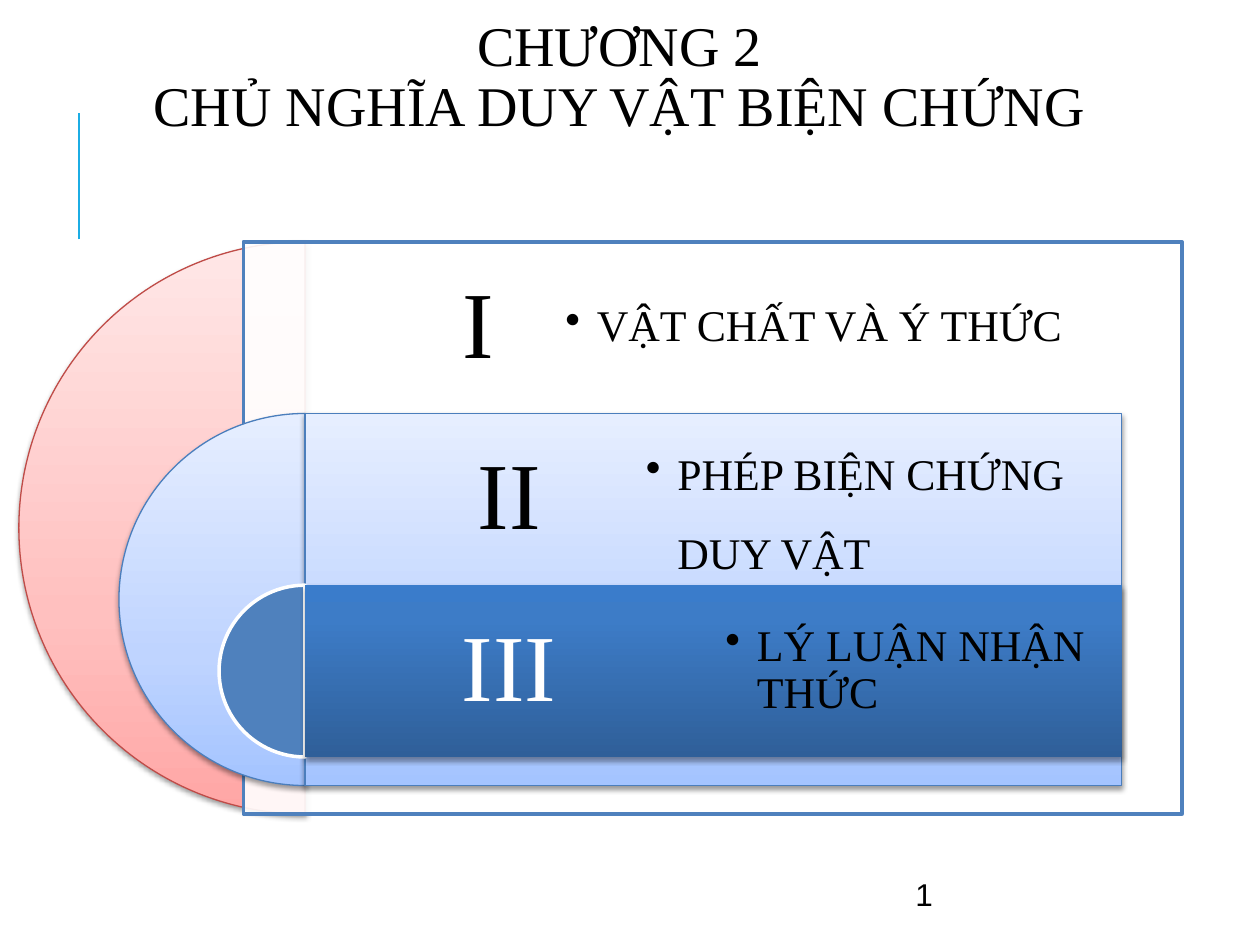
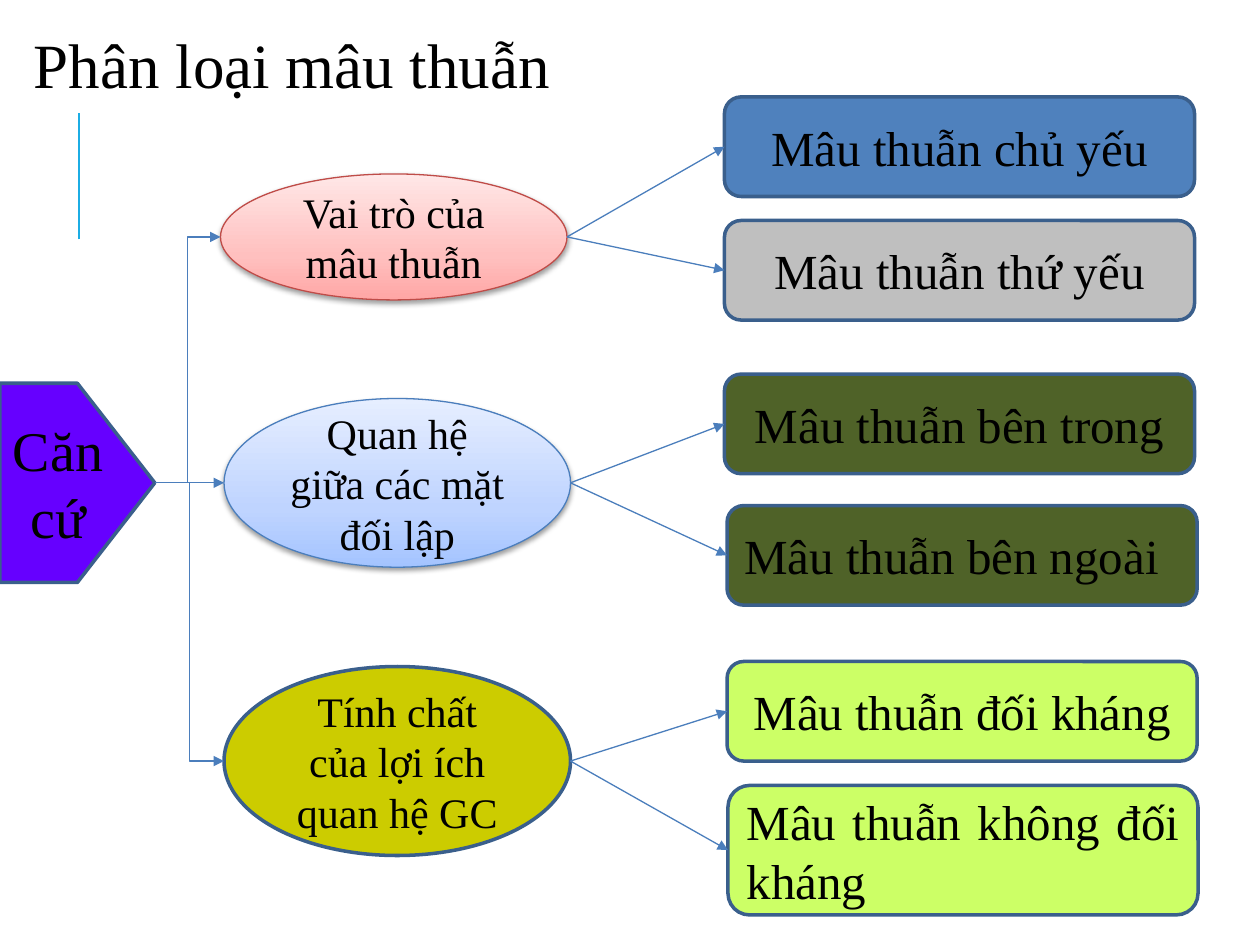
from lxml.etree import SubElement as Sub
from pptx import Presentation
from pptx.dml.color import RGBColor as RGB
from pptx.enum.shapes import MSO_CONNECTOR as Wire, MSO_SHAPE as Kind
from pptx.enum.text import MSO_ANCHOR as Anchor, MSO_AUTO_SIZE as Fit, PP_ALIGN as Align
from pptx.oxml.ns import qn
from pptx.util import Pt

BLACK = RGB(0, 0, 0)
WHITE = RGB(255, 255, 255)
BLUE = RGB(0x4F, 0x81, 0xBD)
NAVY = RGB(0x3A, 0x5F, 0x8C)
STEEL = RGB(0x4B, 0x7E, 0xBC)
BRICK = RGB(0xBF, 0x4C, 0x48)
CYAN = RGB(0x1C, 0xAD, 0xE4)
VIOLET = RGB(0x66, 0x00, 0xFF)
MUSTARD = RGB(0xCC, 0xCC, 0x00)
GREY = RGB(0xBF, 0xBF, 0xBF)
OLIVE = RGB(0x4F, 0x62, 0x28)
LIME = RGB(0xCC, 0xFF, 0x66)
# Gradients run upwards: (percent, colour)
ROSE = [(0, RGB(0xFF, 0xA6, 0xA5)), (35, RGB(0xFF, 0xC0, 0xBF)), (100, RGB(0xFF, 0xE7, 0xE7))]
SKY = [(0, RGB(0xA4, 0xC4, 0xFF)), (35, RGB(0xBF, 0xD4, 0xFF)), (100, RGB(0xE6, 0xEE, 0xFF))]
DEEP = [(0, RGB(0x2F, 0x5F, 0x99)), (80, RGB(0x3D, 0x7C, 0xC7)), (100, RGB(0x3A, 0x7C, 0xCB))]
SERIF = "Times New Roman"


def block(slide, kind, box, fill, line, width=2):
    """Add a shape; a list of stops as fill gives a gradient and a soft shadow."""
    shape = slide.shapes.add_shape(kind, *map(Pt, box))
    shape.shadow.inherit = False
    if isinstance(fill, list):
        shape.fill.gradient()
        shape.fill.gradient_angle = 90
        stops = shape.element.spPr.find(".//" + qn("a:gsLst"))
        stops.clear()
        for pos, tone in fill:
            stop = Sub(stops, qn("a:gs"), pos=str(pos * 1000))
            Sub(stop, qn("a:srgbClr"), val=str(tone))
        glow = Sub(shape.element.spPr.find(qn("a:effectLst")), qn("a:outerShdw"),
                   blurRad=str(Pt(3.1)), dist=str(Pt(1.6)), dir="5400000", rotWithShape="0")
        Sub(Sub(glow, qn("a:srgbClr"), val="000000"), qn("a:alpha"), val="38000")
    else:
        shape.fill.solid()
        shape.fill.fore_color.rgb = fill
    if line is None:
        shape.line.fill.background()
    else:
        shape.line.color.rgb = line
        shape.line.width = Pt(width)
    return shape


def write(shape, lines, size, align=Align.LEFT, color=BLACK, face=SERIF, gap=None):
    """Fill a shape with one paragraph, its lines parted by breaks."""
    frame = shape.text_frame
    frame.word_wrap = True
    frame.auto_size = Fit.NONE
    frame.vertical_anchor = Anchor.MIDDLE
    para = frame.paragraphs[0]
    para.alignment = align
    para.line_spacing = gap
    for i, line in enumerate(lines):
        if i:
            para.add_line_break()
        run = para.add_run()
        run.text = line
        run.font.size = Pt(size)
        run.font.name = face
        run.font.color.rgb = color
    return para


prs = Presentation()
prs.slide_width, prs.slide_height = Pt(720), Pt(540)
base = prs.slide_layouts[5]

# Titles
heads = [
    (["CHƯƠNG 2", "CHỦ NGHĨA DUY VẬT BIỆN CHỨNG"], (0, 5.8, 708, 77.8), 32, Align.CENTER),
    (["Phân loại mâu thuẫn"], (12.2, 5.8, 648, 66.2), 36, Align.LEFT),
]
slides = []
for lines, box, size, align in heads:
    slide = prs.slides.add_slide(base)
    title = slide.shapes.title
    title.left, title.top, title.width, title.height = map(Pt, box)
    write(title, lines, size, align, gap=0.9)
    slides.append(slide)
first, second = slides

# Accent bar, shared through the layout
bar = first.shapes.add_connector(Wire.STRAIGHT, Pt(45.2), Pt(136.8), Pt(45.2), Pt(64.8))
bar.line.color.rgb = CYAN
bar.line.width = Pt(1.5)
base.shapes.element.append(bar.element)
wires = [bar]

# Slide 1: nested half discs with chapter parts
page = first.shapes.add_textbox(Pt(516), Pt(491.8), Pt(168), Pt(37.4))
write(page, ["1"], 18, face="Arial")

TOP, STEP, MID, SPLIT = 138.2, 98.1, 174.3, 407.5
parts = [  # disc fill, line, width; band left, right, fill, line, width; numeral, colour
    (ROSE, BRICK, 0.75, 139, 675.4, WHITE, BLUE, 2, "I", BLACK),
    (SKY, STEEL, 0.75, MID, 641, SKY, STEEL, 0.75, "II", BLACK),
    (BLUE, WHITE, 2, MID, 641, DEEP, None, 0, "III", WHITE),
]
for i, (fill, line, thick, left, right, tint, edge, wide, num, ink) in enumerate(parts):
    top, size = TOP + i * STEP, 327 - i * 114.4
    disc = block(first, Kind.PIE, (MID - size / 2, top, size, size), fill, line, thick)
    disc.adjustments[0], disc.adjustments[1] = 54, 162
    band = block(first, Kind.RECTANGLE, (left, top, right - left, size), tint, edge, wide)
    if tint == WHITE:
        tone = band.element.spPr.find(qn("a:solidFill"))[0]
        Sub(tone, qn("a:alpha"), val="90000")
    label = first.shapes.add_textbox(Pt(left), Pt(top), Pt(SPLIT - left), Pt(STEP))
    write(label, [num], 54, Align.CENTER, ink, gap=0.9)

topics = [
    ("VẬT CHẤT VÀ Ý THỨC", 316, 400, 0.9),
    ("PHÉP BIỆN CHỨNG DUY VẬT", 362, 300, 1.5),
    ("LÝ LUẬN NHẬN THỨC", SPLIT, 233.3, 0.9),
]
for i, (text, left, width, gap) in enumerate(topics):
    item = first.shapes.add_textbox(Pt(left), Pt(TOP + i * STEP), Pt(width), Pt(STEP))
    props = write(item, [text], 25, gap=gap)._p.get_or_add_pPr()
    props.set("marL", str(Pt(18)))
    props.set("indent", str(Pt(-18)))
    Sub(props, qn("a:buChar"), char="•")

# Slide 2: root, three criteria, two kinds each
root = block(second, Kind.PENTAGON, (0, 219, 88.5, 113.8), VIOLET, NAVY)
write(root, ["Căn cứ"], 32, Align.CENTER)
HUB = 275.9

tree = [  # criterion: text, left, top, height, fill, line, width; kinds
    ("Vai trò của mâu thuẫn", 126, 99.4, 72, ROSE, BRICK, 0.75, [
        ("Mâu thuẫn chủ yếu", 414, 55.4, 56.9, BLUE, Align.CENTER),
        ("Mâu thuẫn thứ yếu", 414, 126, 56.9, GREY, Align.CENTER)]),
    ("Quan hệ giữa các mặt đối lập", 128, 227.7, 96.4, SKY, STEEL, 0.75, [
        ("Mâu thuẫn bên trong", 414, 213.8, 56.9, OLIVE, Align.CENTER),
        ("Mâu thuẫn bên ngoài", 415.5, 288.9, 56.9, OLIVE, Align.JUSTIFY)]),
    ("Tính chất của lợi ích quan hệ GC", 128, 380.9, 108, MUSTARD, NAVY, 2, [
        ("Mâu thuẫn đối kháng", 415.5, 378, 56.9, LIME, Align.CENTER),
        ("Mâu thuẫn không đối kháng", 416, 448.8, 74, LIME, Align.JUSTIFY)]),
]
WIDE = 198
arrows = []
for text, left, top, high, fill, line, thick, kinds in tree:
    oval = block(second, Kind.OVAL, (left, top, WIDE, high), fill, line, thick)
    write(oval, [text], 24, Align.CENTER)
    mid = top + high / 2
    straight = abs(mid - HUB) < 1
    arrow = second.shapes.add_connector(Wire.STRAIGHT if straight else Wire.ELBOW,
                                        Pt(88.5), Pt(HUB), Pt(left), Pt(mid))
    if straight:
        arrow.begin_connect(root, 3)
    arrows.append(arrow)
    for name, x, y, tall, paint, align in kinds:
        card = block(second, Kind.ROUNDED_RECTANGLE, (x, y, 268.6, tall), paint, NAVY)
        write(card, [name], 28, align)
        arrow = second.shapes.add_connector(Wire.STRAIGHT, Pt(left + WIDE), Pt(mid),
                                            Pt(x), Pt(y + tall / 2))
        arrow.end_connect(card, 1)
        arrows.append(arrow)

for arrow in arrows:
    arrow.line.color.rgb = STEEL
    arrow.line.width = Pt(0.75)
    Sub(arrow.element.spPr.find(qn("a:ln")), qn("a:tailEnd"), type="triangle")
for wire in wires + arrows:
    Sub(wire.element.spPr, qn("a:effectLst"))

prs.save("out.pptx")
